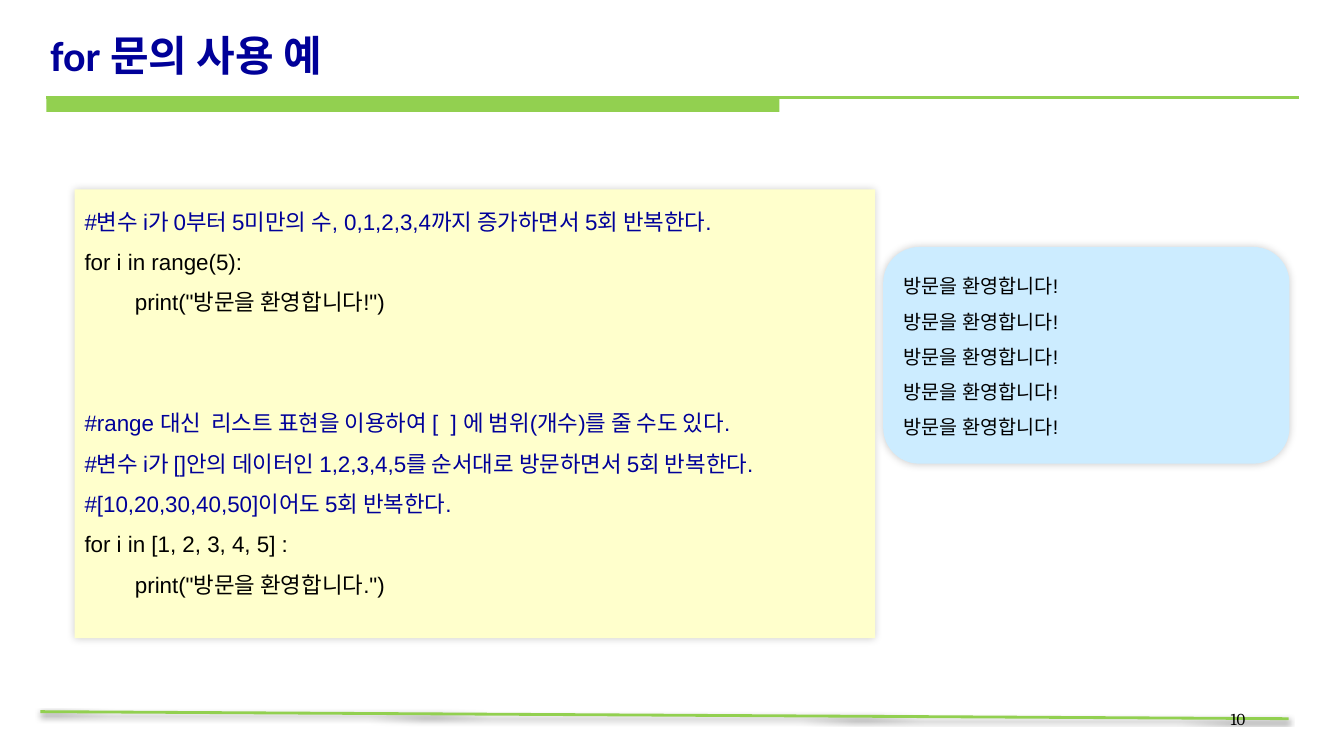
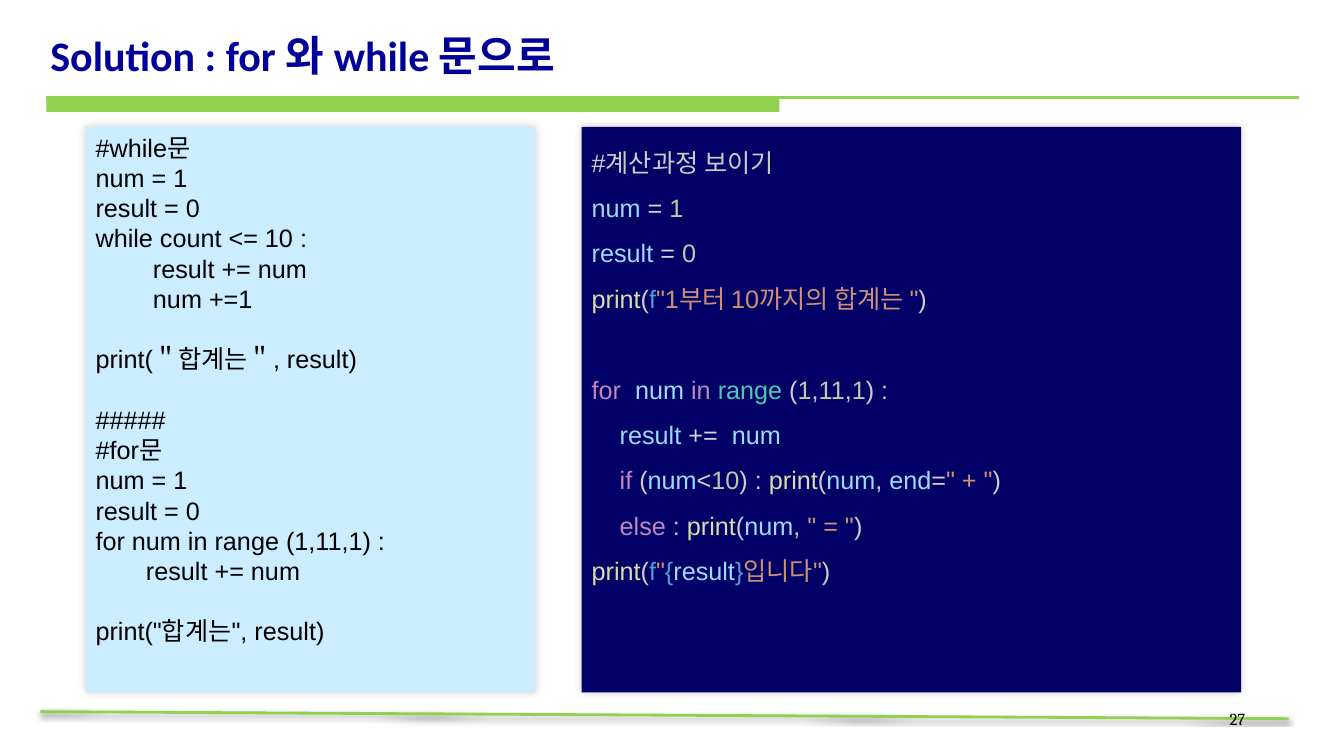
from lxml.etree import SubElement
from pptx import Presentation
from pptx.dml.color import RGBColor
from pptx.enum.shapes import MSO_CONNECTOR, MSO_SHAPE
from pptx.enum.text import MSO_ANCHOR, MSO_AUTO_SIZE, PP_ALIGN
from pptx.oxml.ns import qn
from pptx.util import Inches, Pt

GREEN = RGBColor(0x92, 0xD0, 0x50)
NAVY = RGBColor(0x00, 0x00, 0x99)
DARK = RGBColor(0x00, 0x00, 0x66)
CREAM = RGBColor(0xFF, 0xFF, 0xCC)
SKY = RGBColor(0xCC, 0xEC, 0xFF)
BLACK = RGBColor(0x00, 0x00, 0x00)
PLAIN = RGBColor(0xCC, 0xCC, 0xCC)
SIGN = RGBColor(0xD4, 0xD4, 0xD4)
NAME = RGBColor(0x9C, 0xDC, 0xFE)
DIGIT = RGBColor(0xB5, 0xCE, 0xA8)
CALL = RGBColor(0xDC, 0xDC, 0xAA)
MARK = RGBColor(0x56, 0x9C, 0xD6)
QUOTE = RGBColor(0xCE, 0x91, 0x78)
WORD = RGBColor(0xC5, 0x86, 0xC0)
TYPE = RGBColor(0x4E, 0xC9, 0xB0)

LEAD = 1.2
GAP = []

LOOPS = [
    [("#변수 i가 0부터 5미만의 수, 0,1,2,3,4까지 증가하면서 5회 반복한다.", NAVY)],
    [("for i in range(5):", BLACK)],
    [("\tprint(\"방문을 환영합니다!\")", BLACK)],
    GAP,
    GAP,
    [("#range 대신  리스트 표현을 이용하여 [  ] 에 범위(개수)를 줄 수도 있다.", NAVY)],
    [("#변수 i가 []안의 데이터인 1,2,3,4,5를 순서대로 방문하면서 5회 반복한다.", NAVY)],
    [("#[10,20,30,40,50]이어도 5회 반복한다.", NAVY)],
    [("for i in [1, 2, 3, 4, 5] :", BLACK)],
    [("\tprint(\"방문을 환영합니다.\")", BLACK)],
]

SUMS = """#while문
num = 1
result = 0
while count <= 10 :
\t result += num
\t num +=1

print(＂합계는＂, result)

#####
#for문
num = 1
result = 0
for num in range (1,11,1) :
 \tresult += num

print("합계는", result)"""

STEPS = [
    [("#계산과정 보이기", PLAIN)],
    [("num ", NAME), ("= ", SIGN), ("1", DIGIT)],
    [("result ", NAME), ("= ", SIGN), ("0", DIGIT)],
    [("print", CALL), ("(", PLAIN), ("f", MARK),
     ("\"1부터 10까지의 합계는 \"", QUOTE), (")", PLAIN)],
    GAP,
    [("for  ", WORD), ("num ", NAME), ("in ", WORD), ("range", TYPE),
     (" (", PLAIN), ("1", DIGIT), (",", PLAIN), ("11", DIGIT),
     (",", PLAIN), ("1", DIGIT), (") :", PLAIN)],
    [("    ", PLAIN), ("result ", NAME), ("+=  ", SIGN), ("num", NAME)],
    [("    ", PLAIN), ("if", WORD), (" (", PLAIN), ("num", NAME),
     ("<", SIGN), ("10", DIGIT), (") : ", PLAIN), ("print", CALL),
     ("(", PLAIN), ("num", NAME), (", ", PLAIN), ("end", NAME),
     ("=", SIGN), ("\" + \"", QUOTE), (")", PLAIN)],
    [("    ", PLAIN), ("else", WORD), (" : ", PLAIN), ("print", CALL),
     ("(", PLAIN), ("num", NAME), (", ", PLAIN), ("\" = \"", QUOTE),
     (")", PLAIN)],
    [("print", CALL), ("(", PLAIN), ("f", MARK), ("\"", QUOTE),
     ("{", MARK), ("result", NAME), ("}", MARK), ("입니다\"", QUOTE),
     (")", PLAIN)],
]


def black(text):
    return [[(line, BLACK)] if line else GAP for line in text.split("\n")]


def place(shape, box):
    shape.left, shape.top, shape.width, shape.height = map(Inches, box)


def write(para, text, font, size, color, bold=False):
    run = para.add_run()
    run.text = text
    run.font.name = font
    run.font.size = Pt(size)
    run.font.bold = bold
    run.font.color.rgb = color


def shade(shape, alpha, blur, dist, angle):
    props = shape.element.spPr
    list_tag = qn("a:effectLst")
    effects = props.find(list_tag)
    if effects is None:
        effects = SubElement(props, list_tag)
    if alpha:
        outer = SubElement(effects, qn("a:outerShdw"), blurRad=str(Pt(blur)),
                           dist=str(Pt(dist)), dir=str(angle * 60000),
                           algn="ctr", rotWithShape="0")
        color = SubElement(outer, qn("a:srgbClr"), val=str(BLACK))
        SubElement(color, qn("a:alpha"), val=str(alpha * 1000))


def add_line(slide, ends, width, alpha=0, blur=0, dist=0):
    line = slide.shapes.add_connector(MSO_CONNECTOR.STRAIGHT, *map(Inches, ends))
    line.line.color.rgb = GREEN
    line.line.width = Pt(width)
    shade(line, alpha, blur, dist, 90)
    return line


def add_box(slide, kind, box, fill):
    shape = slide.shapes.add_shape(kind, *map(Inches, box))
    shape.shadow.inherit = False
    shape.fill.solid()
    shape.fill.fore_color.rgb = fill
    shape.line.fill.background()
    return shape


def add_code(slide, box, fill, lines, size, space=1.0, kind=MSO_SHAPE.RECTANGLE):
    shape = add_box(slide, kind, box, fill)
    shade(shape, 20, 6, 0, 315)
    frame = shape.text_frame
    frame.word_wrap = True
    frame.vertical_anchor = MSO_ANCHOR.TOP
    pitch = size * LEAD * space
    para, gap = None, 0
    for line in lines:
        if not line:
            gap += pitch
            continue
        para = frame.add_paragraph() if para else frame.paragraphs[0]
        para.alignment = PP_ALIGN.LEFT
        para.line_spacing = Pt(pitch)
        para.space_before = Pt(gap)
        gap = 0
        for text, color in line:
            write(para, text, "Arial", size, color)


def add_decor(slide, layout):
    parts = [
        add_line(slide, (0.4, 7.06, 12.78, 7.13), 2, 38, 3.1, 1.6),
        add_box(slide, MSO_SHAPE.RECTANGLE, (0.46, 0.97, 7.27, 0.14), GREEN),
        add_line(slide, (0.46, 0.97, 12.88, 0.97), 2.25),
    ]
    for part in parts:
        layout.shapes.element.append(part.element)


def add_page(deck, layout, title, number):
    slide = deck.slides.add_slide(layout)
    head = slide.shapes.title
    place(head, (0.4, 0.09, 12.48, 0.75))
    frame = head.text_frame
    frame.auto_size = MSO_AUTO_SIZE.NONE
    frame.vertical_anchor = MSO_ANCHOR.BOTTOM
    para = frame.paragraphs[0]
    para.alignment = PP_ALIGN.LEFT
    write(para, title, "Calibri", 30, NAVY, True)

    foot = slide.shapes.add_textbox(*map(Inches, (9.56, 6.98, 2.89, 0.52)))
    foot.text_frame.word_wrap = True
    para = foot.text_frame.paragraphs[0]
    para.alignment = PP_ALIGN.RIGHT
    write(para, number, "Cambria", 12, BLACK)
    return slide


def main():
    deck = Presentation()
    deck.slide_width = Inches(13.33)
    deck.slide_height = Inches(7.5)
    layout = deck.slide_layouts.get_by_name("Title Only")

    usage = add_page(deck, layout, "for 문의 사용 예", "10")
    add_decor(usage, layout)
    add_code(usage, (0.74, 1.88, 7.94, 4.45), CREAM, LOOPS, 16, 1.5)
    add_code(usage, (8.76, 2.45, 4.03, 2.15), SKY,
             [[("방문을 환영합니다!", BLACK)]] * 5, 14, 1.5,
             MSO_SHAPE.FLOWCHART_ALTERNATE_PROCESS)

    answer = add_page(deck, layout, "Solution : for 와 while 문으로", "27")
    add_code(answer, (0.85, 1.26, 4.46, 5.61), SKY, black(SUMS), 18)
    add_code(answer, (5.77, 1.26, 6.54, 5.61), DARK, STEPS, 18, 1.5)

    deck.save("out.pptx")


if __name__ == "__main__":
    main()
